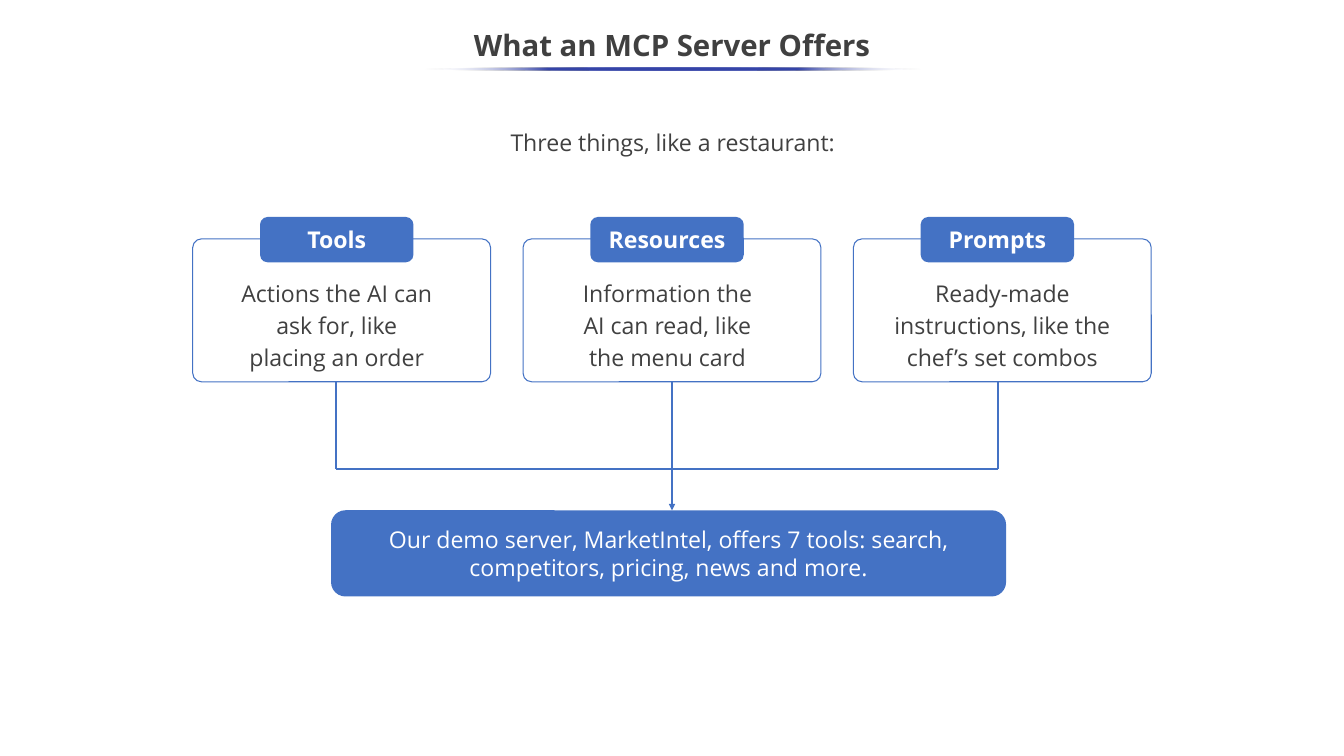
from dataclasses import dataclass

from lxml import etree
from pptx import Presentation
from pptx.dml.color import RGBColor
from pptx.enum.shapes import MSO_CONNECTOR, MSO_SHAPE
from pptx.enum.text import MSO_ANCHOR, PP_ALIGN
from pptx.oxml import parse_xml
from pptx.oxml.ns import nsdecls, qn
from pptx.util import Pt

PX = 9144
FONT = "Open Sans"
BODY_SIZE = 22
TITLE_SIZE = 28
COLORS = {"blue": "4472C4", "text": "404040", "white": "FFFFFF", "rule": "3645A9"}

ROUNDED = MSO_SHAPE.ROUNDED_RECTANGLE
OVAL = MSO_SHAPE.OVAL
STRAIGHT = MSO_CONNECTOR.STRAIGHT
CENTER = PP_ALIGN.CENTER
TOP = MSO_ANCHOR.TOP
MIDDLE = MSO_ANCHOR.MIDDLE
BOTTOM_SITE = 2


@dataclass(frozen=True)
class Box:
    left: int
    top: int
    width: int
    height: int

    def emu(self) -> tuple[int, int, int, int]:
        return self.left * PX, self.top * PX, self.width * PX, self.height * PX


@dataclass(frozen=True)
class Offer:
    label: str
    description: str
    text_left: int
    text_width: int


OFFERS = [
    Offer("Tools", "Actions the AI can ask for, like placing an order", 309, 273),
    Offer("Resources", "Information the AI can read, like the menu card", 750, 266),
    Offer("Prompts", "Ready-made instructions, like the chef’s set combos", 1157, 338),
]
CARD = Box(255, 316, 394, 189)
TAB = Box(344, 287, 203, 60)
CARD_PITCH = 437
CARD_BOTTOM = CARD.top + CARD.height
DESCRIPTION_TOP = 364
SUMMARY = Box(438, 675, 893, 114)
JOIN_LEFT, JOIN_RIGHT, JOIN_TOP = 445, 1320, 620


def rgb(name: str) -> RGBColor:
    return RGBColor.from_string(COLORS[name])


def write(shape, text: str, color: str, size: int = BODY_SIZE, bold: bool = False,
          spacing: float = 1.0, anchor=MIDDLE) -> None:
    frame = shape.text_frame
    frame.word_wrap = True
    frame.vertical_anchor = anchor
    paragraph = frame.paragraphs[0]
    paragraph.alignment = CENTER
    paragraph.line_spacing = spacing
    run = paragraph.add_run()
    run.text = text
    run.font.name = FONT
    run.font.size = Pt(size)
    run.font.bold = bold
    run.font.color.rgb = rgb(color)


def add_body(slide, box: Box, text: str) -> None:
    shape = slide.shapes.add_textbox(*box.emu())
    shape.text_frame.margin_top = shape.text_frame.margin_bottom = 0
    write(shape, text, "text", spacing=1.15, anchor=TOP)


def add_filled(slide, box: Box, text: str, bold: bool = False) -> None:
    shape = slide.shapes.add_shape(ROUNDED, *box.emu())
    shape.shadow.inherit = False
    shape.fill.solid()
    shape.fill.fore_color.rgb = rgb("blue")
    shape.line.fill.background()
    write(shape, text, "white", bold=bold)


def add_card(slide, box: Box):
    shape = slide.shapes.add_shape(ROUNDED, *box.emu())
    shape.adjustments[0] = 0.06
    shape.shadow.inherit = False
    shape.fill.background()
    shape.line.color.rgb = rgb("blue")
    shape.line.width = Pt(1)
    return shape


def add_line(slide, start: tuple[int, int], end: tuple[int, int], arrow: bool = False):
    connector = slide.shapes.add_connector(
        STRAIGHT, *(value * PX for value in start + end))
    connector.line.color.rgb = rgb("blue")
    connector.line.width = Pt(2)
    if arrow:
        etree.SubElement(connector.line._get_or_add_ln(), qn("a:tailEnd"), type="triangle")
    etree.SubElement(connector._element.spPr, qn("a:effectLst"))
    return connector


def add_title_rule(slide, box: Box) -> None:
    shape = slide.shapes.add_shape(OVAL, *box.emu())
    shape.shadow.inherit = False
    shape.line.fill.background()
    shape.fill.background()
    stops = [(0, "white", 0), (25, "rule", 100), (50, "rule", 100),
             (75, "rule", 100), (100, "white", 0)]
    stop_xml = "".join(
        f'<a:gs pos="{position * 1000}"><a:srgbClr val="{COLORS[color]}">'
        f'<a:alpha val="{alpha * 1000}"/></a:srgbClr></a:gs>'
        for position, color, alpha in stops)
    gradient = parse_xml(
        f'<a:gradFill {nsdecls("a")} rotWithShape="1"><a:gsLst>{stop_xml}</a:gsLst>'
        '<a:lin ang="10800000" scaled="0"/></a:gradFill>')
    properties = shape._element.spPr
    properties.replace(properties.find(qn("a:noFill")), gradient)


def add_offer(slide, index: int, offer: Offer):
    shift = index * CARD_PITCH
    card = add_card(slide, Box(CARD.left + shift, CARD.top, CARD.width, CARD.height))
    add_filled(slide, Box(TAB.left + shift, TAB.top, TAB.width, TAB.height),
               offer.label, bold=True)
    add_body(slide, Box(offer.text_left, DESCRIPTION_TOP, offer.text_width, 141),
             offer.description)
    return card


def main() -> None:
    presentation = Presentation()
    presentation.slide_width = 1778 * PX
    presentation.slide_height = 1000 * PX
    slide = presentation.slides.add_slide(presentation.slide_layouts[6])

    add_body(slide, Box(141, 165, 1498, 99), "Three things, like a restaurant:")
    cards = [add_offer(slide, index, offer) for index, offer in enumerate(OFFERS)]

    for x in (JOIN_LEFT, JOIN_RIGHT):
        add_line(slide, (x, CARD_BOTTOM), (x, JOIN_TOP))
    add_line(slide, (JOIN_RIGHT, JOIN_TOP), (JOIN_LEFT, JOIN_TOP))
    middle = CARD.left + CARD_PITCH + CARD.width // 2
    arrow = add_line(slide, (middle, CARD_BOTTOM), (middle, SUMMARY.top), arrow=True)
    arrow.begin_connect(cards[1], BOTTOM_SITE)

    add_filled(slide, SUMMARY, "Our demo server, MarketIntel, offers 7 tools: search, "
                               "competitors, pricing, news and more.")
    add_title_rule(slide, Box(561, 89, 658, 4))
    title = slide.shapes.add_textbox(*Box(0, 25, 1778, 75).emu())
    write(title, "What an MCP Server Offers", "text", TITLE_SIZE, True, 0.9)

    presentation.save("out.pptx")


if __name__ == "__main__":
    main()
